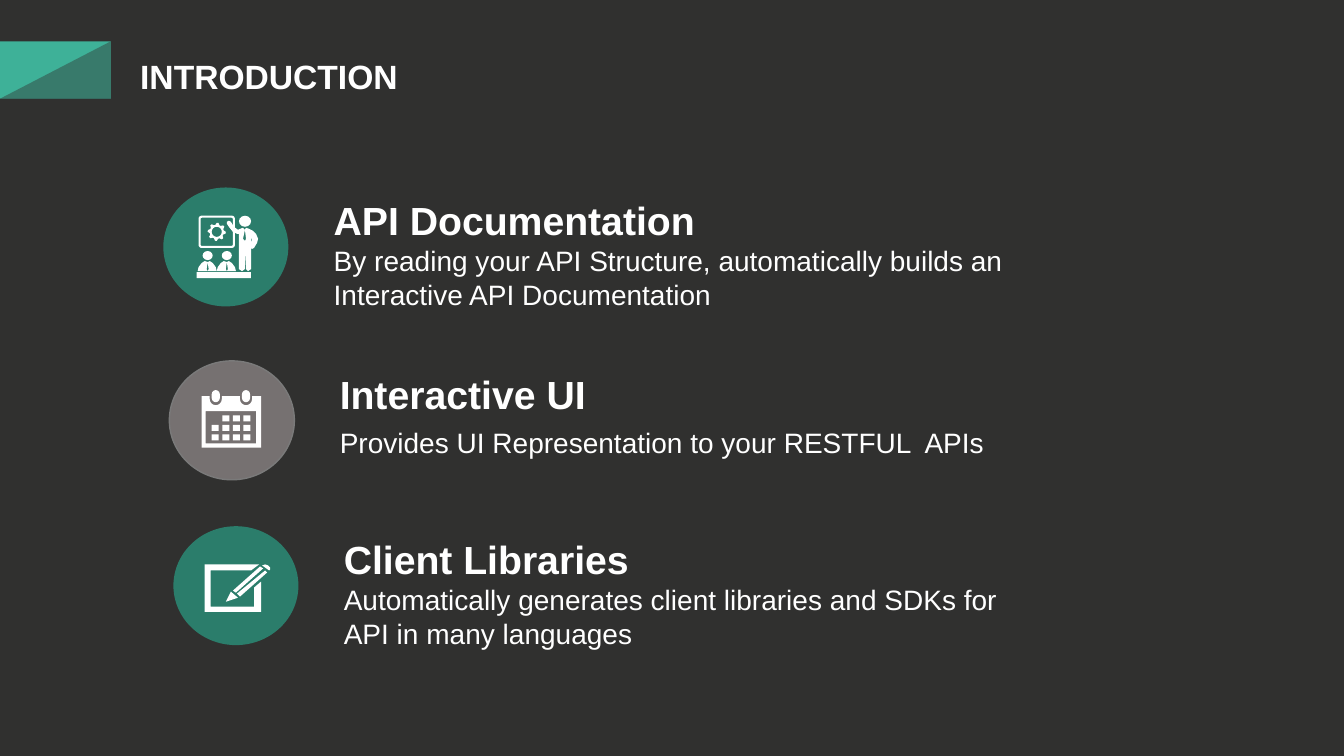
import math

import lxml.etree
import pptx
import pptx.dml.color
import pptx.enum.shapes
import pptx.enum.text
import pptx.oxml.ns
import pptx.util

Inches = pptx.util.Inches
RGBColor = pptx.dml.color.RGBColor
PRESET = pptx.enum.shapes.MSO_SHAPE

CHARCOAL = RGBColor(0x30, 0x30, 0x2F)
MINT = RGBColor(0x3E, 0xB1, 0x98)
TEAL = RGBColor(0x2B, 0x7D, 0x6B)
GREY = RGBColor(0x76, 0x71, 0x71)
GREY_EDGE = RGBColor(0x7A, 0x7A, 0x7A)
WHITE = RGBColor(0xFF, 0xFF, 0xFF)
FONT = "Arial"


def style_run(run, size, bold):
    run.font.name = FONT
    run.font.size = pptx.util.Pt(size)
    run.font.bold = bold
    run.font.color.rgb = WHITE


def paint(shape, color):
    shape.shadow.inherit = False
    shape.fill.solid()
    shape.fill.fore_color.rgb = color
    shape.line.fill.background()
    return shape


def add_preset(shapes, preset, left, top, width, height, color=WHITE):
    shape = shapes.add_shape(preset, Inches(left), Inches(top), Inches(width), Inches(height))
    return paint(shape, color)


def add_outline(shapes, left, top, *contours):
    """Closed polygons in one shape; a contour inside another is a hole."""
    placed = [[(Inches(left + x), Inches(top + y)) for x, y in contour] for contour in contours]
    builder = shapes.build_freeform(*placed[0][0], scale=1.0)
    for index, points in enumerate(placed):
        if index:
            builder.move_to(*points[0])
        builder.add_line_segments(points[1:], close=True)
    return paint(builder.convert_to_shape(), WHITE)


def ring(center_x, center_y, radii):
    step = 2 * math.pi / len(radii)
    return [(center_x + r * math.cos(i * step), center_y + r * math.sin(i * step))
            for i, r in enumerate(radii)]


def box(left, top, right, bottom):
    return [(left, top), (right, top), (right, bottom), (left, bottom)]


def draw_training_icon(shapes, left, top):
    # Board with a gear
    board = add_preset(shapes, PRESET.ROUNDED_RECTANGLE, left + 0.36, top + 0.29, 0.34, 0.3)
    board.adjustments[0] = 0.07
    board.fill.background()
    board.line.color.rgb = WHITE
    board.line.width = pptx.util.Pt(1.5)
    gear_teeth = [0.09, 0.09, 0.07, 0.07] * 8
    add_outline(shapes, left + 0.53, top + 0.44, ring(0, 0, gear_teeth), ring(0, 0, [0.05] * 24))

    # Presenter
    add_preset(shapes, PRESET.OVAL, left + 0.75, top + 0.28, 0.12, 0.11)
    presenter = [
        (0.65, 0.33), (0.63, 0.34), (0.63, 0.36), (0.65, 0.39), (0.69, 0.44), (0.73, 0.46),
        (0.75, 0.46), (0.75, 0.81), (0.78, 0.83), (0.81, 0.81), (0.81, 0.63), (0.82, 0.81),
        (0.84, 0.83), (0.87, 0.81), (0.87, 0.6), (0.88, 0.61), (0.9, 0.6), (0.93, 0.55),
        (0.94, 0.51), (0.92, 0.46), (0.89, 0.43), (0.85, 0.41), (0.82, 0.4), (0.81, 0.42),
        (0.79, 0.4), (0.74, 0.42), (0.7, 0.39), (0.67, 0.34)]
    presenter_tie = [(0.81, 0.42), (0.79, 0.51), (0.81, 0.53), (0.82, 0.51)]
    arm_gap = [(0.87, 0.49), (0.88, 0.52), (0.87, 0.55)]
    add_outline(shapes, left, top, presenter, presenter_tie, arm_gap)

    # Audience on a bench
    listener = [(0, 0.1), (0.01, 0.06), (0.04, 0.02), (0.07, 0), (0.1, 0.01),
                (0.12, 0), (0.15, 0.02), (0.18, 0.06), (0.19, 0.1)]
    listener_tie = [(0.1, 0.01), (0.09, 0.08), (0.1, 0.1), (0.11, 0.08)]
    for seat in (0.34, 0.53):
        add_preset(shapes, PRESET.OVAL, left + seat + 0.05, top + 0.63, 0.1, 0.09)
        add_outline(shapes, left + seat, top + 0.73, listener, listener_tie)
    add_preset(shapes, PRESET.RECTANGLE, left + 0.33, top + 0.84, 0.54, 0.06)


def draw_calendar_icon(shapes, left, top):
    # Sheet with a notch round each binder ring
    edge = [(0.32, 0.35)]
    for ring_center in (0.46, 0.76):
        edge.append((ring_center - 0.06, 0.35))
        edge += [(ring_center - 0.06 * math.cos(a * math.pi / 8),
                  0.38 + 0.06 * math.sin(a * math.pi / 8)) for a in range(9)]
        edge.append((ring_center + 0.06, 0.35))
    edge += [(0.91, 0.35), (0.91, 0.86), (0.32, 0.86)]
    add_outline(shapes, left, top, edge, box(0.36, 0.5, 0.86, 0.82))
    for ring_center in (0.46, 0.76):
        binder = add_preset(shapes, PRESET.ROUNDED_RECTANGLE,
                            left + ring_center - 0.04, top + 0.29, 0.08, 0.12)
        binder.adjustments[0] = 0.5

    # Days
    for week in range(3):
        for day in range(4):
            if week or day:
                add_preset(shapes, PRESET.RECTANGLE, left + 0.42 + 0.105 * day,
                           top + 0.54 + 0.095 * week, 0.07, 0.06)


def draw_edit_icon(shapes, left, top):
    page = [(0.8, 0.8), (0.37, 0.8), (0.37, 0.44), (0.77, 0.44), (0.85, 0.38), (0.31, 0.38),
            (0.31, 0.85), (0.87, 0.85), (0.87, 0.55), (0.8, 0.61)]
    pencil_parts = [
        [(0.64, 0.71), (0.57, 0.65), (0.52, 0.75)],
        [(0.86, 0.4), (0.59, 0.64), (0.62, 0.66), (0.89, 0.42)],
        [(0.63, 0.67), (0.66, 0.7), (0.93, 0.46), (0.91, 0.44)],
        [(0.88, 0.39), (0.91, 0.38), (0.94, 0.39), (0.96, 0.41), (0.96, 0.43), (0.95, 0.44)]]
    for part in [page] + pencil_parts:
        add_outline(shapes, left, top, part)


def add_text(slide, text, left, top, width, height, size, bold=False, spacing=1.0):
    frame = slide.shapes.add_textbox(
        Inches(left), Inches(top), Inches(width), Inches(height)).text_frame
    frame.word_wrap = True
    frame.margin_left = frame.margin_right = frame.margin_top = frame.margin_bottom = 0
    frame.text = text
    frame.paragraphs[0].line_spacing = spacing
    style_run(frame.paragraphs[0].runs[0], size, bold)


def add_header(slide, text, top):
    # Two-tone banner
    banner = slide.shapes.add_group_shape().shapes
    add_preset(banner, PRESET.RECTANGLE, 0, top, 1.1, 0.57, MINT)
    shade = add_preset(banner, PRESET.RIGHT_TRIANGLE, 0, top, 1.1, 0.57, CHARCOAL)
    qn = pptx.oxml.ns.qn
    shade.element.spPr.find(qn("a:xfrm")).set("flipH", "1")
    shade_color = shade.element.spPr.find(qn("a:solidFill")).find(qn("a:srgbClr"))
    lxml.etree.SubElement(shade_color, qn("a:alpha")).set("val", "42000")

    # Title
    title = slide.shapes.title
    title.left, title.top = Inches(1.29), Inches(top + 0.09)
    title.width, title.height = Inches(2.76), Inches(0.5)
    frame = title.text_frame
    frame.text = text
    frame.word_wrap = False
    frame.vertical_anchor = pptx.enum.text.MSO_ANCHOR.TOP
    frame.paragraphs[0].alignment = pptx.enum.text.PP_ALIGN.LEFT
    style_run(frame.paragraphs[0].runs[0], 24, True)


def add_feature(slide, left, top, heading, detail, draw_icon, color,
                edge=None, detail_drop=0.56, spacing=1.0):
    add_text(slide, heading, left + 1.69, top + 0.09, 4.16, 0.47, 28, bold=True)
    add_text(slide, detail, left + 1.69, top + detail_drop, 6.79, 0.67, 20, spacing=spacing)
    disc = add_preset(slide.shapes, PRESET.OVAL, left, top, 1.24, 1.18, color)
    if edge:
        disc.line.color.rgb = edge
        disc.line.width = pptx.util.Pt(1)
    draw_icon(slide.shapes.add_group_shape().shapes, left, top)


def main():
    deck = pptx.Presentation()
    deck.slide_width, deck.slide_height = Inches(13.33), Inches(7.5)
    slide = deck.slides.add_slide(deck.slide_layouts.get_by_name("Title Only"))
    slide.background.fill.solid()
    slide.background.fill.fore_color.rgb = CHARCOAL

    add_header(slide, "INTRODUCTION", 0.41)
    add_feature(slide, 1.62, 1.86, "API Documentation",
                "By reading your API Structure, automatically builds an "
                "Interactive API Documentation", draw_training_icon, TEAL)
    add_feature(slide, 1.68, 3.58, "Interactive UI",
                "Provides UI Representation to your RESTFUL  APIs",
                draw_calendar_icon, GREY, GREY_EDGE, detail_drop=0.48, spacing=1.5)
    add_feature(slide, 1.72, 5.22, "Client Libraries",
                "Automatically generates client libraries and SDKs for API in many languages",
                draw_edit_icon, TEAL)
    deck.save("out.pptx")


if __name__ == "__main__":
    main()
